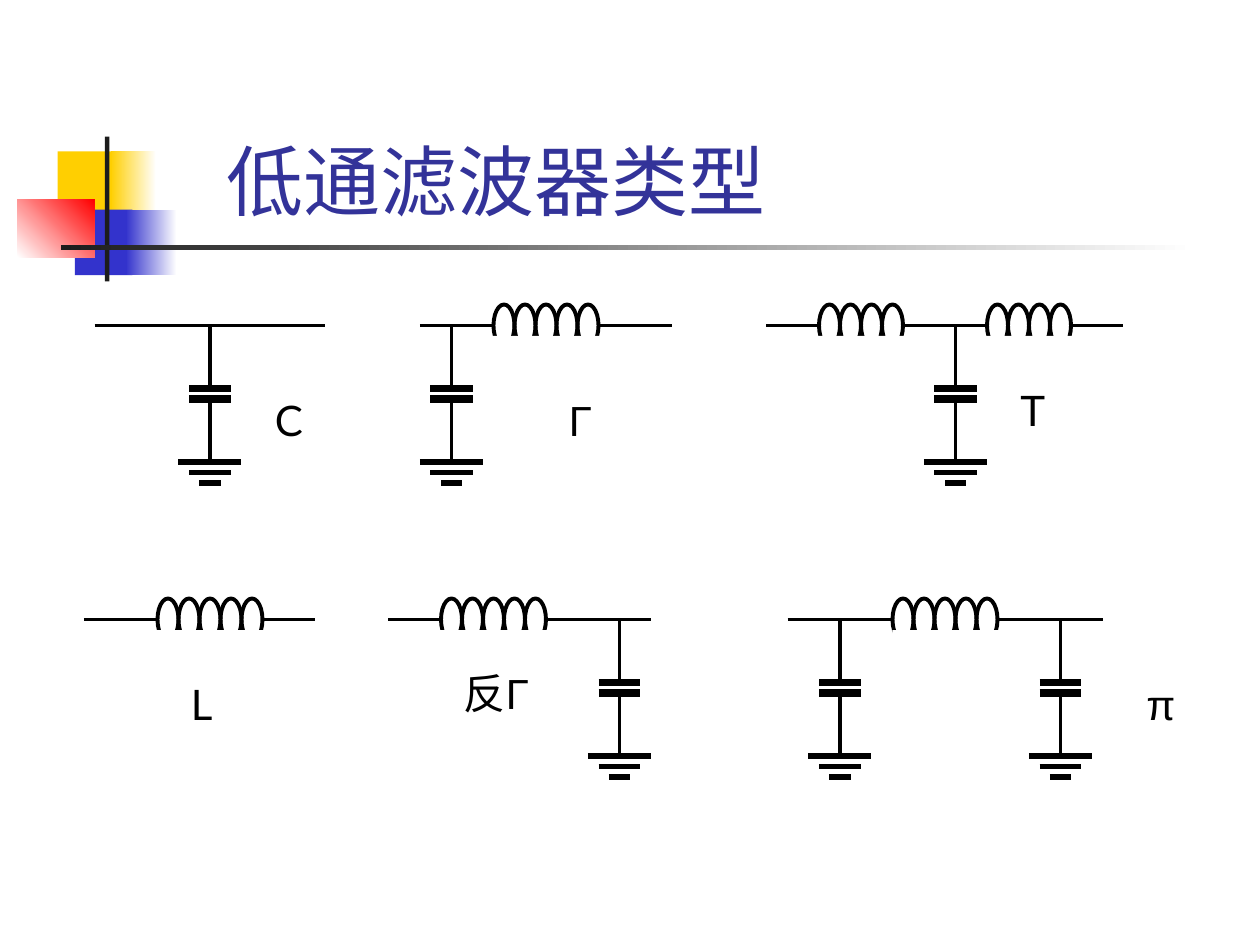
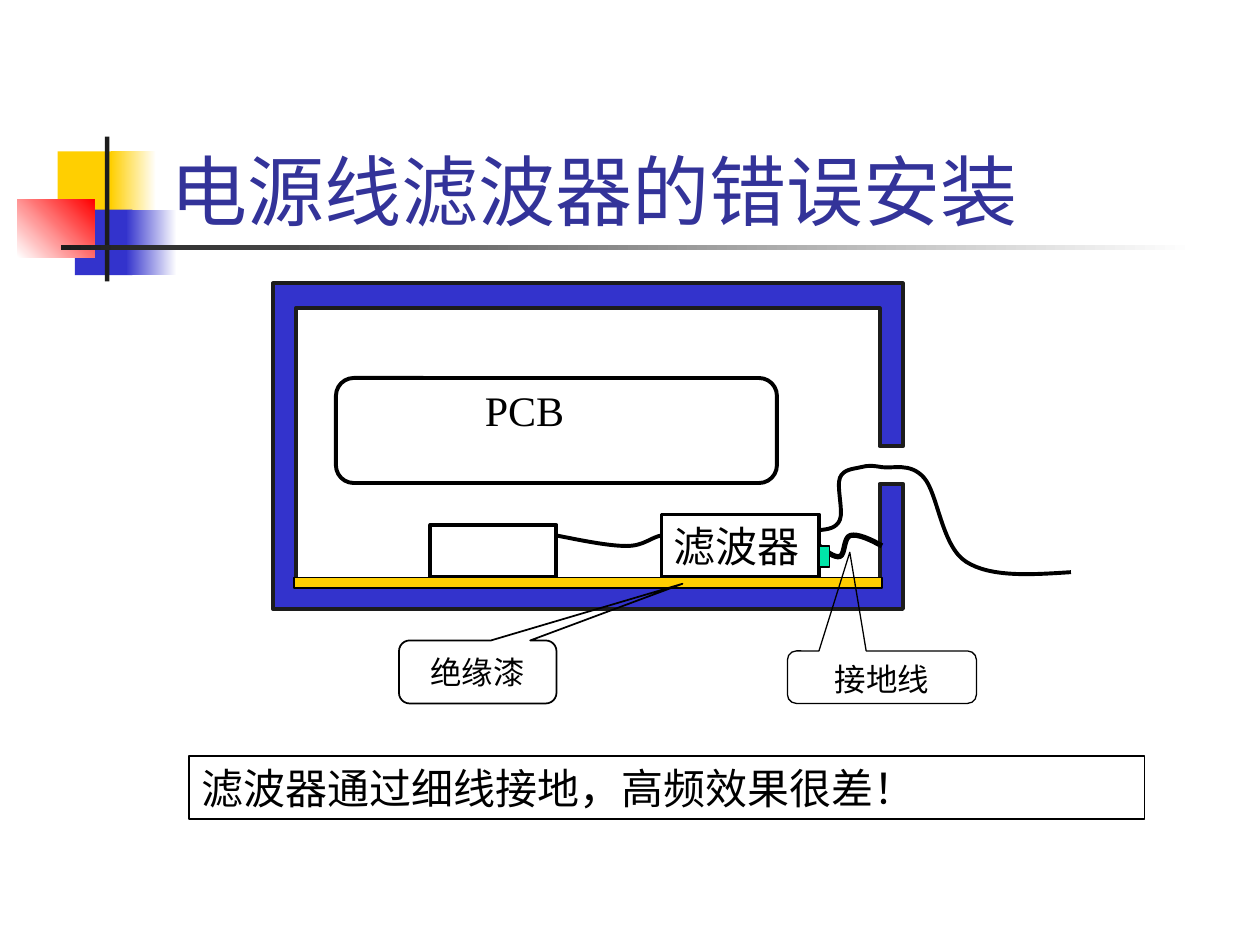
from dataclasses import dataclass

from lxml import etree
from pptx import Presentation
from pptx.dml.color import RGBColor
from pptx.enum.shapes import MSO_CONNECTOR, MSO_SHAPE
from pptx.enum.text import MSO_ANCHOR, MSO_AUTO_SIZE, PP_ALIGN
from pptx.oxml.ns import qn
from pptx.util import Pt

RECT = MSO_SHAPE.RECTANGLE
ROUND = MSO_SHAPE.ROUNDED_RECTANGLE
OVAL = MSO_SHAPE.OVAL
CALLOUT = MSO_SHAPE.ROUNDED_RECTANGULAR_CALLOUT
STRAIGHT = MSO_CONNECTOR.STRAIGHT
LEFT, CENTER = PP_ALIGN.LEFT, PP_ALIGN.CENTER
TOP, MIDDLE, BOTTOM = MSO_ANCHOR.TOP, MSO_ANCHOR.MIDDLE, MSO_ANCHOR.BOTTOM
FIXED = MSO_AUTO_SIZE.NONE

BLACK, WHITE, INK = "000000", "FFFFFF", "1C1C1C"
GOLD, BLUE, RED, GREEN, NAVY = "FFCF01", "3333CC", "FF0000", "00E4A8", "333399"
SANS, GREEK, SERIF = "Lato", "Arial", "Times New Roman"

GRID = 6  # points per step of the circuit grid
THIN, MID, THICK = 2.25, 3, 4.5


@dataclass
class Box:
    left: float
    top: float
    width: float
    height: float

    def lengths(self) -> list:
        return [Pt(v) for v in (self.left, self.top, self.width, self.height)]


@dataclass
class Band:
    """Plain block, or one that fades from white when it has an angle."""
    box: Box
    color: str
    angle: int | None = None


@dataclass
class Coil:
    """Row of ovals; a white mask hides the lower part."""
    left: int
    turns: int
    mask: int
    span: int = 14


@dataclass
class Circuit:
    """Low-pass filter, measured in grid steps."""
    label: str
    spot: tuple
    axis: int
    start: int
    end: int
    coils: tuple = ()
    caps: tuple = ()
    span: int = 6


@dataclass
class Curve:
    """Start point, then three points for each cubic arc."""
    points: list
    weight: float = THIN


@dataclass
class Part:
    box: Box
    kind: int = RECT
    fill: str | None = None
    weight: float = THIN
    text: str = ""
    size: float = 24
    align: int = LEFT
    anchor: int = TOP
    wrap: bool = True
    adjust: tuple = ()


BANDS = [
    Band(Box(33, 86.5, 34.5, 37.5), GOLD),
    Band(Box(63.25, 86.5, 26, 37.5), GOLD, 180),
    Band(Box(42.75, 119.75, 33, 37.5), BLUE),
    Band(Box(72, 119.75, 29, 37.5), BLUE, 180),
    Band(Box(10, 114, 44, 33), RED, 45),
    Band(Box(60, 78, 2.5, 82.75), INK),
    Band(Box(34.75, 140.25, 648, 2.5), INK, 180),
]

CIRCUITS = [
    Circuit("C", (25, 37), 31, 9, 31, caps=(20,)),
    Circuit("Γ", (53, 37), 31, 40, 64, (Coil(47, 5, 45),), (43,)),
    Circuit("T", (96, 36), 31, 73, 107,
            (Coil(78, 4, 76, 11), Coil(94, 4, 93, 11)), (91,)),
    Circuit("L", (17, 64), 59, 8, 30, (Coil(15, 5, 14),)),
    Circuit("反Γ", (43, 63), 59, 37, 62, (Coil(42, 5, 41),), (59,), span=13),
    Circuit("π", (108, 64), 59, 75, 105, (Coil(85, 5, 85, 11),), (80, 101)),
]

HOUSING = [(502.75, 255), (516, 255), (516, 162), (156, 162), (156, 348),
           (516, 348), (516, 276.5), (502.75, 276.5), (502.75, 333.5),
           (169, 333.5), (169, 176.25), (502.75, 176.25)]
CABLE = Curve([(468, 303), (473, 302.5), (478, 302), (480, 297),
               (482, 292), (478, 278), (480, 273),
               (482, 268), (488, 268), (492, 267),
               (496, 266), (498, 266), (504, 267),
               (510, 268), (520, 264), (528, 273),
               (536, 282), (538, 312), (552, 321),
               (566, 330), (589, 328.5), (612, 327)])
LEAD = Curve([(318, 306), (333, 309), (348, 312), (358, 312),
              (368, 312), (372, 307), (378, 306)])
EARTH = Curve([(468, 312), (472, 315), (477, 319), (480, 318),
               (483, 317), (482, 307), (486, 306),
               (490, 305), (497, 308), (504, 312)], MID)

# Back to front
MOUNT = [
    Part(Box(378, 294, 90, 36), text="滤波器"),
    CABLE,
    Part(Box(246, 300, 72, 30)),
    LEAD,
    Part(Box(168, 330, 336, 6), fill=GOLD, weight=1),
    Part(Box(228, 366, 90, 36), CALLOUT, weight=1, text="绝缘漆", size=18,
         align=CENTER, anchor=MIDDLE, wrap=False, adjust=(1.3, -1.4, 0.17)),
    Part(Box(192, 216, 252, 60), ROUND, adjust=(0.17,)),
    Part(Box(270, 216, 96, 36), weight=0, text="PCB"),
    Part(Box(108, 432, 546, 36), weight=0.75,
         text="滤波器通过细线接地，高频效果很差！"),
    EARTH,
    Part(Box(450, 372, 108, 30), CALLOUT, weight=0.75, text="接地线", size=18,
         align=CENTER, adjust=(-0.17, -2.38, 0.17)),
    Part(Box(468, 312, 6, 12), fill=GREEN, weight=0.75),
]


def rgb(code: str) -> RGBColor:
    return RGBColor.from_string(code)


def paint(shape, fill: str | None, weight: float, color: str = BLACK) -> None:
    """Set fill and outline; no fill for None, no outline for weight 0."""
    shape.shadow.inherit = False
    if fill:
        shape.fill.solid()
        shape.fill.fore_color.rgb = rgb(fill)
    else:
        shape.fill.background()
    if weight:
        shape.line.color.rgb = rgb(color)
        shape.line.width = Pt(weight)
    else:
        shape.line.fill.background()


def style(run, font: str, size: float, color: str = BLACK) -> None:
    run.font.name = font
    run.font.size = Pt(size)
    run.font.color.rgb = rgb(color)


def add_bands(slide) -> None:
    """Draw the corner blocks and rule, then move them into the layout."""
    for band in BANDS:
        shape = slide.shapes.add_shape(RECT, *band.box.lengths())
        paint(shape, band.color, 0)
        if band.angle is not None:
            shape.fill.gradient()
            shape.fill.gradient_angle = band.angle
            for stop, tone in zip(shape.fill.gradient_stops, (WHITE, band.color)):
                stop.color.rgb = rgb(tone)
        slide.slide_layout.shapes.element.append(shape.element)


def set_title(slide, text: str, box: Box) -> None:
    title = slide.shapes.title
    title.left, title.top, title.width, title.height = box.lengths()
    frame = title.text_frame
    frame.text = text
    frame.auto_size = FIXED
    frame.word_wrap = True
    frame.vertical_anchor = BOTTOM
    frame.paragraphs[0].alignment = LEFT
    style(frame.paragraphs[0].runs[0], SANS, 44, NAVY)


def add_wire(slide, x1: float, y1: float, x2: float, y2: float,
             weight: float = THIN) -> None:
    """Join two grid points."""
    ends = [Pt(v * GRID) for v in (x1, y1, x2, y2)]
    wire = slide.shapes.add_connector(STRAIGHT, *ends)
    wire.line.color.rgb = rgb(BLACK)
    wire.line.width = Pt(weight)
    etree.SubElement(wire.element.spPr, qn("a:effectLst"))


def add_coil(slide, coil: Coil, axis: int) -> None:
    for turn in range(coil.turns):
        box = Box((coil.left + 2 * turn) * GRID, (axis - 2) * GRID,
                  2 * GRID, 4 * GRID)
        paint(slide.shapes.add_shape(OVAL, *box.lengths()), None, THIN)
    mask = Box(coil.mask * GRID, (axis + 1) * GRID, coil.span * GRID, 2 * GRID)
    paint(slide.shapes.add_shape(RECT, *mask.lengths()), WHITE, 0)


def add_cap(slide, x: int, axis: int) -> None:
    """Draw a capacitor and its ground below the axis."""
    for top, base in ((0, 6), (7, 13)):
        add_wire(slide, x, axis + top, x, axis + base)
    for drop, half, weight in ((6, 2, THICK), (7, 2, THICK),
                               (13, 3, MID), (14, 2, MID), (15, 1, MID)):
        add_wire(slide, x - half, axis + drop, x + half, axis + drop, weight)


def add_label(slide, item: Circuit) -> None:
    x, y = item.spot
    box = Box(x * GRID, y * GRID, item.span * GRID, 6 * GRID)
    frame = slide.shapes.add_textbox(*box.lengths()).text_frame
    frame.word_wrap = True
    for sign in item.label:
        run = frame.paragraphs[0].add_run()
        run.text = sign
        style(run, GREEK if sign in "Γπ" else SANS, 24)


def add_circuit(slide, item: Circuit) -> None:
    x = item.start
    for coil in item.coils:
        add_wire(slide, x, item.axis, coil.left, item.axis)
        add_coil(slide, coil, item.axis)
        x = coil.left + 2 * coil.turns
    add_wire(slide, x, item.axis, item.end, item.axis)
    for cap in item.caps:
        add_cap(slide, cap, item.axis)
    add_label(slide, item)


def add_path(slide, points: list, close: bool):
    spots = [(Pt(x), Pt(y)) for x, y in points]
    pen = slide.shapes.build_freeform(*spots[0])
    pen.add_line_segments(spots[1:], close=close)
    return pen.convert_to_shape()


def add_curve(slide, curve: Curve) -> None:
    """Draw the points as a path, then turn each three lines into one arc."""
    shape = add_path(slide, curve.points, False)
    lines = list(shape.element.iter(qn("a:lnTo")))
    for i in range(0, len(lines), 3):
        arc = etree.Element(qn("a:cubicBezTo"))
        lines[i].addprevious(arc)
        for line in lines[i:i + 3]:
            arc.append(line[0])
            line.getparent().remove(line)
    paint(shape, None, curve.weight)


def add_part(slide, part: Part) -> None:
    if part.weight:
        shape = slide.shapes.add_shape(part.kind, *part.box.lengths())
        paint(shape, part.fill, part.weight)
        for i, value in enumerate(part.adjust):
            shape.adjustments[i] = value
    else:
        shape = slide.shapes.add_textbox(*part.box.lengths())
    if part.text:
        frame = shape.text_frame
        frame.text = part.text
        frame.word_wrap = part.wrap
        frame.vertical_anchor = part.anchor
        frame.paragraphs[0].alignment = part.align
        style(frame.paragraphs[0].runs[0], SERIF, part.size)


def main() -> None:
    deck = Presentation()
    deck.slide_width, deck.slide_height = Pt(720), Pt(540)
    layout = deck.slide_layouts[5]

    types = deck.slides.add_slide(layout)
    add_bands(types)
    set_title(types, "低通滤波器类型", Box(122.5, 72, 540, 60.5))
    for item in CIRCUITS:
        add_circuit(types, item)

    fault = deck.slides.add_slide(layout)
    set_title(fault, "电源线滤波器的错误安装", Box(90.5, 48.25, 613.5, 90))
    paint(add_path(fault, HOUSING, True), BLUE, THIN, INK)
    for item in MOUNT:
        if isinstance(item, Curve):
            add_curve(fault, item)
        else:
            add_part(fault, item)

    deck.save("out.pptx")


if __name__ == "__main__":
    main()
